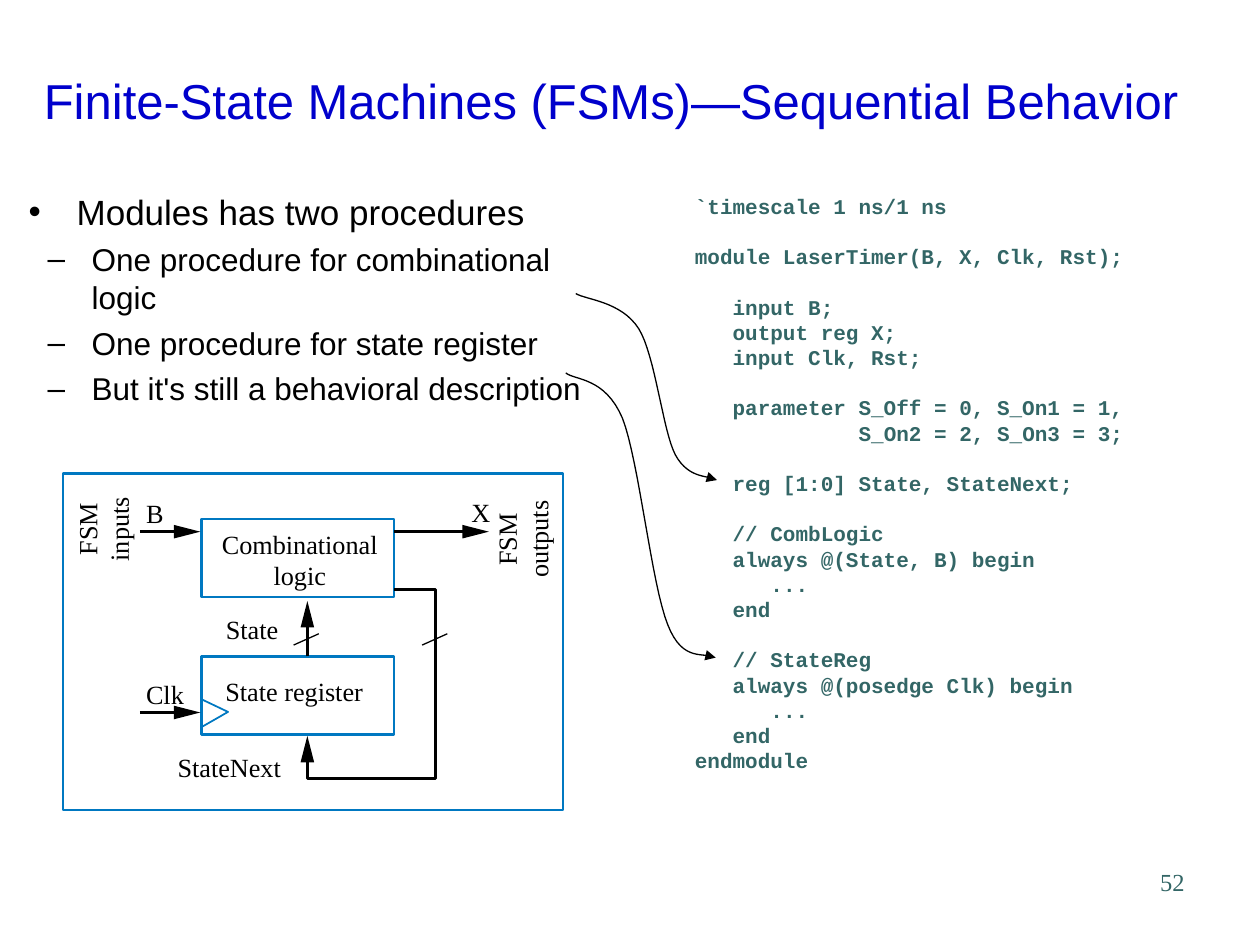
import pptx
import pptx.dml.color
import pptx.enum.shapes
import pptx.enum.text
import pptx.oxml
import pptx.oxml.ns
import pptx.util

COLORS = {"title": "0000CC", "text": "000000", "code": "336666", "box": "0078C1"}
CELL = pptx.util.Inches(0.1)  # the slide is a grid of 100 columns by 75 rows
ALIGN = pptx.enum.text.PP_ALIGN
ANCHOR = pptx.enum.text.MSO_ANCHOR

TITLE = {"size": 28, "name": "Arial", "color": "title"}
BULLET = {"size": 20, "name": "Arial", "color": "text"}
SUB_BULLET = {**BULLET, "size": 18}
CODE = {"size": 12, "name": "Courier New", "color": "code", "bold": True}
LABEL = {"size": 15, "name": "Times New Roman", "color": "text"}
PAGE_NUMBER = {**LABEL, "size": 14, "color": "code"}
CODE_LINE_HEIGHT = 14.4
LABEL_SLACK = 1  # spare columns on each side, so that no label wraps

BULLETS = [
    (0, "Modules has two procedures"),
    (1, "One procedure for combinational logic"),
    (1, "One procedure for state register"),
    (1, "But it's still a behavioral description"),
]
# Each group is set off by a line of space; a line is (indent in characters, text).
CODE_GROUPS = [
    [(0, "`timescale 1 ns/1 ns")],
    [(0, "module LaserTimer(B, X, Clk, Rst);")],
    [(3, "input B;"), (3, "output reg X;"), (3, "input Clk, Rst;")],
    [(3, "parameter S_Off = 0, S_On1 = 1,"), (13, "S_On2 = 2, S_On3 = 3;")],
    [(3, "reg [1:0] State, StateNext;")],
    [(3, "// CombLogic"), (3, "always @(State, B) begin"), (6, "..."), (3, "end")],
    [(3, "// StateReg"), (3, "always @(posedge Clk) begin"), (6, "..."), (3, "end"),
     (0, "endmodule")],
]
DIAGRAM_LABELS = [
    ((17.6, 41.9, 12.4, 5), ["Combinational", "logic"], 0),
    ((17.9, 53.6, 10.9, 2.5), ["State register"], 0),
    ((17.9, 48.7, 4.2, 2.5), ["State"], 0),
    ((37.4, 39.4, 1.5, 2.5), ["X"], 0),
    ((11.6, 39.5, 1.4, 2.5), ["B"], 0),
    ((11.6, 53.8, 3, 2.5), ["Clk"], 0),
    ((14.1, 59.6, 8.2, 2.5), ["StateNext"], 0),
    ((5.6, 39.5, 5.1, 5), ["FSM", "inputs"], 270),
    ((38.4, 40.3, 6.1, 5), ["FSM", "outputs"], 270),
]
# A start point, then cubic segments of two controls and an end point.
CURVES = [
    [(45.7, 23.3), (46.5, 23.8), (49.3, 23.9), (50.7, 26.1), (52, 28.2), (52.6, 34.2),
     (53.6, 36.1), (54.7, 38.1), (56.3, 37.7), (56.9, 38.1)],
    [(44.9, 29.6), (45.6, 30.2), (48, 29.9), (49.4, 33.2), (50.7, 36.5), (51.7, 46.4),
     (53, 49.6), (54.2, 52.7), (56, 51.7), (56.8, 52.2)],
]


def grid(*cells):
    return [round(cell * CELL) for cell in cells]


def rgb(name):
    return pptx.dml.color.RGBColor.from_string(COLORS[name])


def drawing_element(tag, attributes=""):
    return pptx.oxml.parse_xml(f'<a:{tag} {pptx.oxml.ns.nsdecls("a")} {attributes}/>')


def set_attributes(target, values):
    for name, value in values.items():
        setattr(target, name, value)


def add_text_box(slide, area, inset=0, anchor=ANCHOR.TOP, rotation=0):
    shape = slide.shapes.add_textbox(*grid(*area))
    shape.rotation = rotation
    side, edge = grid(inset, inset / 2)
    set_attributes(shape.text_frame, {
        "margin_left": side, "margin_right": side, "margin_top": edge,
        "margin_bottom": edge, "word_wrap": True, "vertical_anchor": anchor})
    return shape.text_frame


def add_paragraph(frame, text, style, **layout):
    paragraph = frame.paragraphs[0]
    if paragraph.runs:
        paragraph = frame.add_paragraph()
    set_attributes(paragraph, layout)
    run = paragraph.add_run()
    run.text = text
    values = {name: value for name, value in style.items() if name != "color"}
    set_attributes(run.font, {**values, "size": pptx.util.Pt(style["size"])})
    run.font.color.rgb = rgb(style["color"])
    return paragraph


def set_indent(paragraph, left, first=0):
    left, first = grid(left, first)
    properties = paragraph._p.get_or_add_pPr()
    properties.set("marL", str(left))
    properties.set("indent", str(first))
    return properties


def add_bullets(slide):
    frame = add_text_box(slide, (1.3, 14.6, 47.4, 23.1), inset=1)
    levels = [(BULLET, 5, 3.8, -3.8, "•"), (SUB_BULLET, 4.5, 5, -3.5, "–")]
    for level, text in BULLETS:
        style, space, left, first, mark = levels[level]
        paragraph = add_paragraph(frame, text, style, level=level,
                                  space_before=pptx.util.Pt(space))
        properties = set_indent(paragraph, left, first)
        properties.append(drawing_element("buFont", f'typeface="{style["name"]}"'))
        properties.append(drawing_element("buChar", f'char="{mark}"'))


def add_code(slide):
    frame = add_text_box(slide, (55.15, 15.35, 40, 46))
    for group_index, group in enumerate(CODE_GROUPS):
        for line_index, (columns, text) in enumerate(group):
            gap = CODE_LINE_HEIGHT if group_index and not line_index else 0
            paragraph = add_paragraph(
                frame, text, CODE, space_before=pptx.util.Pt(gap),
                line_spacing=pptx.util.Pt(CODE_LINE_HEIGHT))
            set_indent(paragraph, columns)


def style_line(shape, color, width):
    shape.line.color.rgb = rgb(color)
    shape.line.width = pptx.util.Pt(width)


def add_outline(slide, points, close=False):
    start, *others = [grid(*point) for point in points]
    builder = slide.shapes.build_freeform(*start)
    builder.add_line_segments(others, close=close)
    shape = builder.convert_to_shape()
    shape.shadow.inherit = False
    return shape


def add_path(slide, points, color, width):
    shape = add_outline(slide, points)
    shape.fill.background()
    style_line(shape, color, width)
    return shape


def add_line(slide, start, end, width):
    line = slide.shapes.add_connector(
        pptx.enum.shapes.MSO_CONNECTOR.STRAIGHT, *grid(*start, *end))
    style_line(line, "text", width)
    line._element.spPr.append(drawing_element("effectLst"))


def add_arrow_tip(slide, tip, direction):
    (x, y), (dx, dy) = tip, direction
    length, half = 2.1, 0.54
    base_x, base_y = x - length * dx, y - length * dy
    corners = [(base_x + side * dy, base_y + side * dx) for side in (-half, half)]
    shape = add_outline(slide, [tip, *corners], close=True)
    shape.fill.solid()
    shape.fill.fore_color.rgb = rgb("text")
    shape.line.fill.background()


def add_arrow(slide, start, tip, direction):
    shaft_end = [place - 1.7 * step for place, step in zip(tip, direction)]
    add_line(slide, start, shaft_end, 1.87)
    add_arrow_tip(slide, tip, direction)


def add_box(slide, area):
    shape = slide.shapes.add_shape(
        pptx.enum.shapes.MSO_SHAPE.RECTANGLE, *grid(*area))
    shape.shadow.inherit = False
    shape.fill.background()
    style_line(shape, "box", 1.39)


def add_label(slide, area, lines, rotation):
    left, top, width, height = area
    roomy_area = (left - LABEL_SLACK, top, width + 2 * LABEL_SLACK, height)
    frame = add_text_box(slide, roomy_area, rotation=rotation)
    for text in lines:
        add_paragraph(frame, text, LABEL, alignment=ALIGN.CENTER)


def bezier_points(knots, steps=16):
    """Return points along a chain of cubic segments."""
    points = [knots[0]]
    for first in range(0, len(knots) - 1, 3):
        segment = knots[first:first + 4]
        for step in range(1, steps + 1):
            t = step / steps
            weights = ((1 - t) ** 3, 3 * t * (1 - t) ** 2, 3 * t * t * (1 - t), t ** 3)
            points.append([sum(weight * value for weight, value in zip(weights, axis))
                           for axis in zip(*segment)])
    return points


def add_curved_arrow(slide, knots):
    shape = add_path(slide, bezier_points(knots), "text", 0.75)
    shape.line._get_or_add_ln().append(drawing_element("tailEnd", 'type="triangle"'))


def add_diagram(slide):
    right, up = (1, 0), (0, -1)
    for area in [(5, 37.6, 39.7, 26.7), (16, 41.2, 15.3, 6.2), (16, 52.1, 15.3, 6.2)]:
        add_box(slide, area)
    add_arrow(slide, (11.1, 42.2), (15.9, 42.2), right)
    add_arrow(slide, (31.3, 42.2), (38.8, 42.2), right)
    add_arrow(slide, (11.1, 56.55), (15.9, 56.55), right)
    add_arrow(slide, (24.4, 52.1), (24.4, 47.7), up)
    feedback = [(24.4, 60.1), (24.4, 61.8), (34.55, 61.8), (34.55, 46.8), (31.3, 46.8)]
    add_path(slide, feedback, "text", 1.87)
    add_arrow_tip(slide, (24.4, 58.4), up)
    add_path(slide, [(16, 57.7), (18.1, 56.5), (16, 55.5)], "box", 1)
    for left in (23.3, 33.5):
        add_line(slide, (left, 51.2), (left + 2, 50.3), 0.75)
    for label in DIAGRAM_LABELS:
        add_label(slide, *label)


def main():
    presentation = pptx.Presentation()
    presentation.slide_width, presentation.slide_height = grid(100, 75)
    slide = presentation.slides.add_slide(presentation.slide_layouts[6])
    title = add_text_box(slide, (2.5, 3.3, 94.2, 9.2), inset=1, anchor=ANCHOR.MIDDLE)
    add_paragraph(title, "Finite-State Machines (FSMs)—Sequential Behavior", TITLE)
    add_bullets(slide)
    add_code(slide)
    add_diagram(slide)
    for knots in CURVES:
        add_curved_arrow(slide, knots)
    number = add_text_box(slide, (74.2, 68.3, 20.8, 5), inset=1)
    add_paragraph(number, "52", PAGE_NUMBER, alignment=ALIGN.RIGHT)
    presentation.save("out.pptx")


if __name__ == "__main__":
    main()
